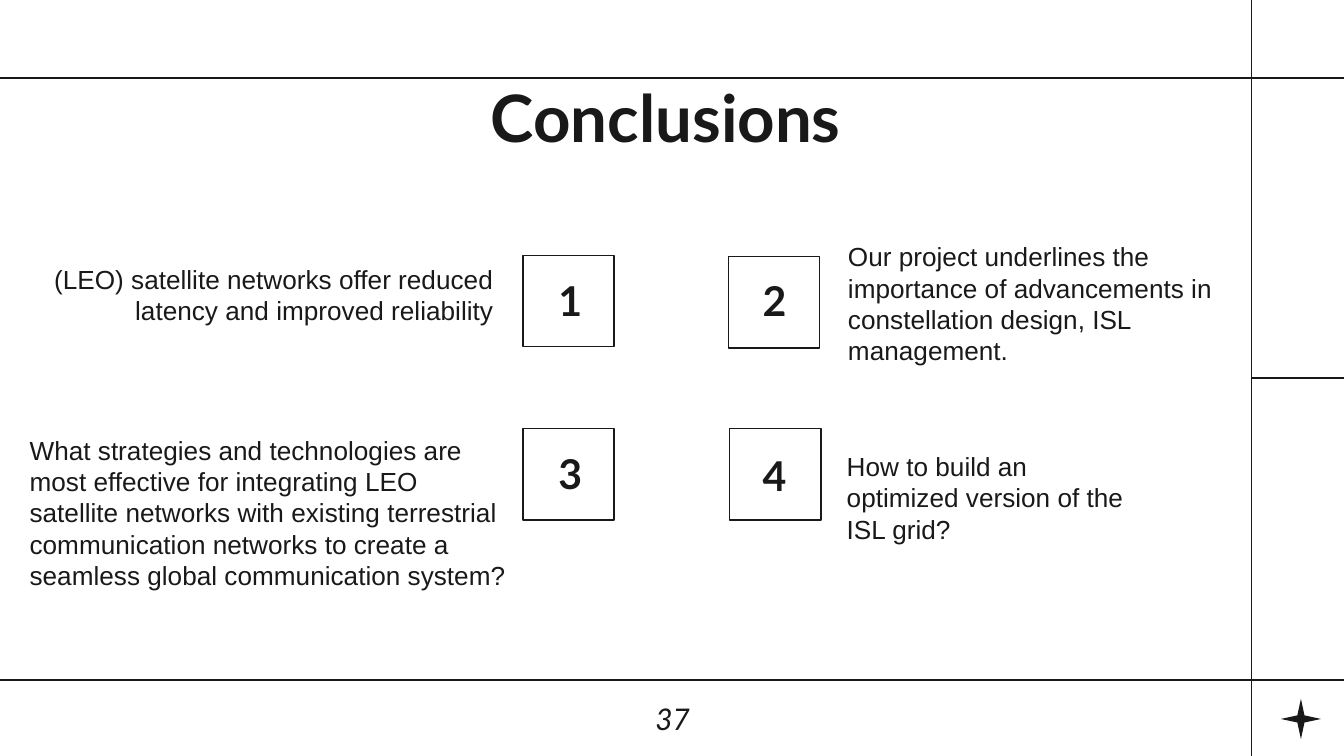
from typing import NamedTuple

from pptx import Presentation
from pptx.dml.color import RGBColor
from pptx.enum import shapes, text
from pptx.oxml import parse_xml
from pptx.oxml.ns import nsdecls
from pptx.util import Inches, Pt

INK = RGBColor(0x19, 0x19, 0x19)
WHITE = RGBColor(0xFF, 0xFF, 0xFF)
LINE_WIDTH = Pt(0.75)
SLIDE_WIDTH = 10
SLIDE_HEIGHT = SLIDE_WIDTH * 9 / 16
SQUARE = 0.68
INSET = 0.1


class Box(NamedTuple):
    left: float
    top: float
    width: float
    height: float


class Style(NamedTuple):
    font: str
    size: float
    align: text.PP_ALIGN = text.PP_ALIGN.LEFT
    anchor: text.MSO_ANCHOR = text.MSO_ANCHOR.TOP
    bold: bool = False
    italic: bool = False
    left_inset: float = 0


class Conclusion(NamedTuple):
    number: str
    square: tuple[float, float]
    number_at: tuple[float, float]
    wording: str
    box: Box
    align: text.PP_ALIGN = text.PP_ALIGN.LEFT


TITLE = Style("Lato", 35, text.PP_ALIGN.CENTER, text.MSO_ANCHOR.BOTTOM, bold=True)
NUMBER = Style("Lato", 22, text.PP_ALIGN.RIGHT, text.MSO_ANCHOR.BOTTOM, bold=True)
BODY = Style("Arial", 14)
PAGE = Style("Lato", 16, text.PP_ALIGN.CENTER, text.MSO_ANCHOR.MIDDLE,
             italic=True, left_inset=INSET)

# Each rule line runs from (x, y) to (x, y).
FRAME = [
    (-0.04, 0.58, 10.04, 0.58),
    (-0.04, 5.06, 10.04, 5.06),
    (9.31, SLIDE_HEIGHT / 2, 10, SLIDE_HEIGHT / 2),
    (9.31, -0.03, 9.31, 5.66),
]

CONCLUSIONS = [
    Conclusion("1", (3.89, 1.9), (4.11, 2.12),
               "(LEO) satellite networks offer reduced latency and improved reliability",
               Box(0.22, 1.86, 3.55, 0.63), text.PP_ALIGN.RIGHT),
    Conclusion("2", (5.42, 1.91), (5.63, 2.12),
               "Our project underlines the importance of advancements in "
               "constellation design, ISL management.",
               Box(6.31, 1.69, 3.17, 1.03)),
    Conclusion("3", (3.89, 3.19), (4.11, 3.4),
               "What strategies and technologies are most effective for integrating "
               "LEO satellite networks with existing terrestrial communication "
               "networks to create a seamless global communication system?",
               Box(0.22, 3.13, 3.69, 0.63)),
    Conclusion("4", (5.43, 3.19), (5.63, 3.42),
               "How to build an optimized version of the ISL grid?",
               Box(6.3, 3.25, 2.32, 0.63)),
]


def add_text(s, wording: str, box: Box, style: Style) -> None:
    tf = s.shapes.add_textbox(*map(Inches, box)).text_frame
    tf.word_wrap = True
    tf.vertical_anchor = style.anchor
    tf.margin_left = Inches(style.left_inset)
    tf.margin_top = tf.margin_right = tf.margin_bottom = Inches(INSET)
    p = tf.paragraphs[0]
    p.alignment = style.align
    r = p.add_run()
    r.text = wording
    r.font.name = style.font
    r.font.size = Pt(style.size)
    r.font.bold = style.bold
    r.font.italic = style.italic
    r.font.color.rgb = INK


def add_rule(s, x1: float, y1: float, x2: float, y2: float) -> None:
    line = s.shapes.add_connector(
        shapes.MSO_CONNECTOR.STRAIGHT, *map(Inches, (x1, y1, x2, y2)))
    line.line.color.rgb = INK
    line.line.width = LINE_WIDTH
    line._element.spPr.append(parse_xml(f"<a:effectLst {nsdecls('a')}/>"))


def add_square(s, left: float, top: float) -> None:
    sp = s.shapes.add_shape(shapes.MSO_SHAPE.RECTANGLE,
                            *map(Inches, (left, top, SQUARE, SQUARE)))
    sp.shadow.inherit = False
    sp.fill.background()
    sp.line.color.rgb = INK
    sp.line.width = LINE_WIDTH


def add_star(s, box: Box) -> None:
    sp = s.shapes.add_shape(shapes.MSO_SHAPE.STAR_4_POINT, *map(Inches, box))
    sp.adjustments[0] = 0.125
    sp.shadow.inherit = False
    sp.fill.solid()
    sp.fill.fore_color.rgb = INK
    sp.line.fill.background()


def add_conclusion(s, item: Conclusion) -> None:
    add_square(s, *item.square)
    add_text(s, item.number, Box(*item.number_at, 0.32, 0.4), NUMBER)
    add_text(s, item.wording, item.box, BODY._replace(align=item.align))


def main() -> None:
    prs = Presentation()
    prs.slide_width, prs.slide_height = Inches(SLIDE_WIDTH), Inches(SLIDE_HEIGHT)
    s = prs.slides.add_slide(prs.slide_layouts[6])
    s.background.fill.solid()
    s.background.fill.fore_color.rgb = WHITE

    for ends in FRAME:
        add_rule(s, *ends)
    add_star(s, Box(9.53, 5.2, 0.3, 0.3))
    add_text(s, "Conclusions", Box(0.79, 0.58, 8.43, 0.68), TITLE)
    for item in CONCLUSIONS:
        add_conclusion(s, item)
    add_text(s, "37", Box(1.89, 5.05, 6.23, 0.59), PAGE)

    prs.save("out.pptx")


if __name__ == "__main__":
    main()
